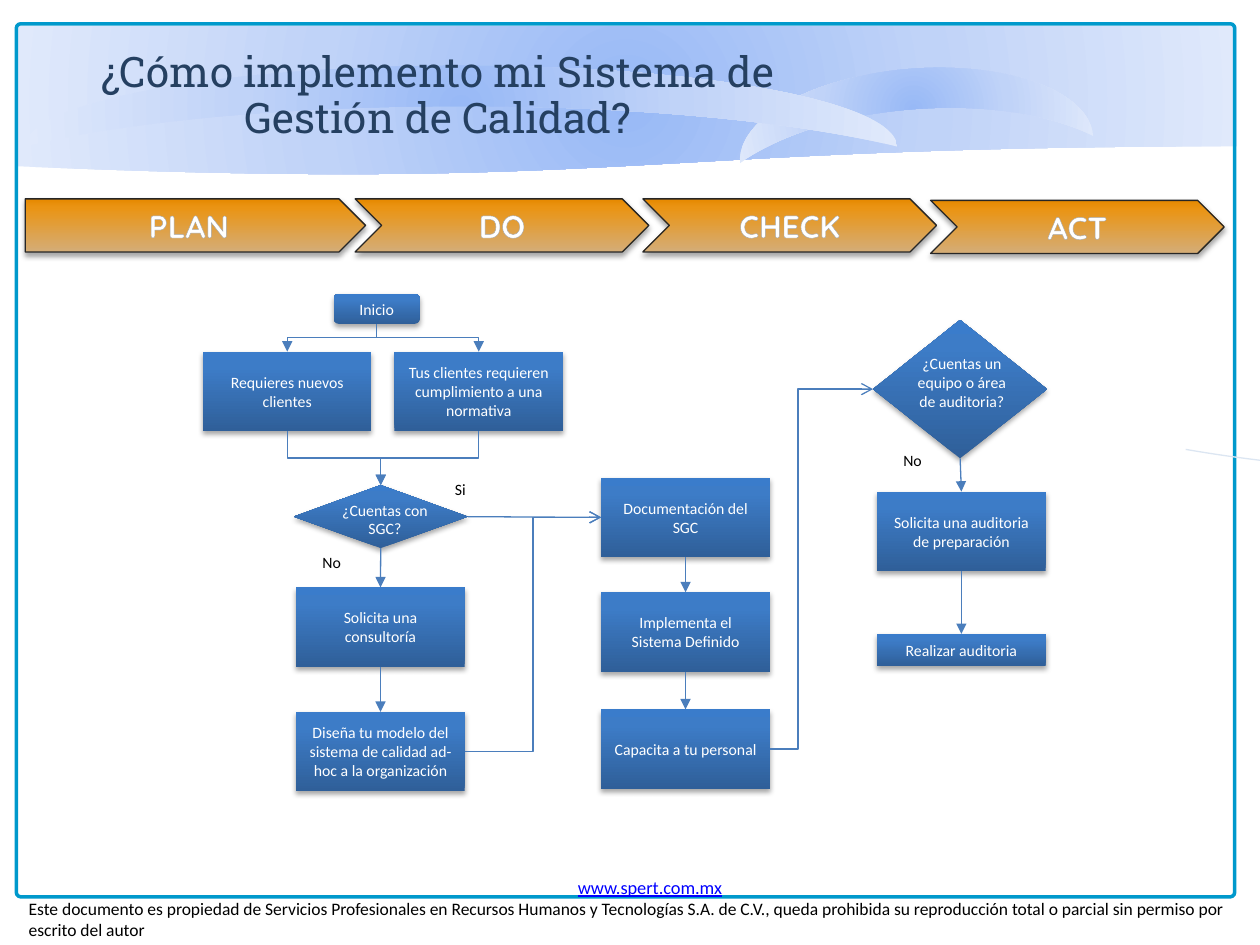
from dataclasses import dataclass
from typing import Optional

from pptx import Presentation
from pptx.dml.color import RGBColor
from pptx.enum.shapes import MSO_CONNECTOR as Cxn, MSO_SHAPE as Shp
from pptx.enum.text import MSO_ANCHOR as Anchor, MSO_AUTO_SIZE as AutoSize, PP_ALIGN as Align
from pptx.oxml import parse_xml
from pptx.oxml.ns import nsdecls, qn
from pptx.util import Cm, Pt

TOP, LEFT, BOTTOM, RIGHT = range(4)
LINEAR = '<a:lin ang="{}" scaled="0"/>'
CIRCLE = '<a:path path="circle"><a:fillToRect l="50000" t="50000" r="50000" b="50000"/></a:path>'


@dataclass(frozen=True)
class Gradient:
    stops: tuple
    shape: str


@dataclass(frozen=True)
class TextStyle:
    size: float
    color: str
    font: str = "Calibri"
    bold: Optional[bool] = None
    underline: Optional[bool] = None
    outline: str = ""


@dataclass(frozen=True)
class Theme:
    sky: Gradient = Gradient(((0, "98B9F6"), (50, "C0D3F8"), (100, "E0E9FB")), CIRCLE)
    node: Gradient = Gradient(((0, "2F5F99"), (80, "3D7CC7"), (100, "3A7CCB")),
                              LINEAR.format(270 * 60000))
    phase: Gradient = Gradient(((0, "E68900"), (17, "EA9414"), (100, "D4AD77")),
                               LINEAR.format(90 * 60000))
    frame: str = "0099CC"
    arc: str = "DCE6F2"
    phase_line: str = "262626"
    connector: str = "4B7EBC"
    title: TextStyle = TextStyle(24, "254061", "Roboto Slab")
    phase_text: TextStyle = TextStyle(18, "FFFFFF", "Quicksand", bold=True, outline="A6A6A6")
    node_text: TextStyle = TextStyle(9, "FFFFFF")
    label: TextStyle = TextStyle(9, "000000")
    link: TextStyle = TextStyle(10.5, "0000FF", underline=True)
    notice: TextStyle = TextStyle(10, "000000")


@dataclass(frozen=True)
class Box:
    """Position and size in centimetres."""
    x: float
    y: float
    w: float = 3.4
    h: float = 1.6

    def lengths(self) -> tuple:
        return Cm(self.x), Cm(self.y), Cm(self.w), Cm(self.h)


@dataclass(frozen=True)
class Node:
    key: str
    text: str
    box: Box
    kind: Shp = Shp.RECTANGLE


@dataclass(frozen=True)
class Label:
    text: str
    box: Box
    style: TextStyle
    wrap: bool = False


@dataclass(frozen=True)
class Link:
    start: str
    start_side: int
    end: str
    end_side: int
    head: str = "triangle"
    elbow: bool = False
    bend: float = 50


THEME = Theme()
SGC_COLUMN, WORK_COLUMN, AUDIT_COLUMN = 5.97, 12.12, 17.68

NODES = (
    Node("inicio", "Inicio", Box(6.73, 5.92, 1.73, 0.61), Shp.ROUNDED_RECTANGLE),
    Node("nuevos", "Requieres nuevos clientes", Box(4.09, 7.09)),
    Node("norma", "Tus clientes requieren cumplimiento a una normativa", Box(7.95, 7.09)),
    Node("consultoria", "Solicita una consultoría", Box(SGC_COLUMN, 11.84)),
    Node("modelo", "Diseña tu modelo del sistema de calidad ad-hoc a la organización",
         Box(SGC_COLUMN, 14.35)),
    Node("documentacion", "Documentación del SGC", Box(WORK_COLUMN, 9.63)),
    Node("implementa", "Implementa el Sistema Definido", Box(WORK_COLUMN, 11.94)),
    Node("capacita", "Capacita a tu personal", Box(WORK_COLUMN, 14.3)),
    Node("preparacion", "Solicita una auditoria de preparación", Box(AUDIT_COLUMN, 9.91)),
    Node("auditoria", "Realizar auditoria", Box(AUDIT_COLUMN, 12.78, h=0.64)),
    Node("sgc", "", Box(5.92, 9.78, 3.51, 1.27), Shp.DIAMOND),
    Node("equipo", "", Box(17.6, 6.45, 3.51, 2.79), Shp.DIAMOND),
)
LABELS = (
    Label("Si", Box(8.92, 9.55, 0.74, 0.64), THEME.label),
    Label("No", Box(6.25, 11.02, 0.89, 0.64), THEME.label),
    Label("No", Box(17.96, 8.97, 0.89, 0.64), THEME.label),
    Label("¿Cuentas con SGC?", Box(6.58, 9.96, 2.36, 1.02), THEME.node_text, True),
    Label("¿Cuentas un equipo o área de auditoria?", Box(18.21, 7.01, 2.36, 1.8),
          THEME.node_text, True),
)
LINKS = (
    Link("inicio", BOTTOM, "nuevos", TOP, elbow=True),
    Link("inicio", BOTTOM, "norma", TOP, elbow=True),
    Link("nuevos", BOTTOM, "sgc", TOP, elbow=True),
    Link("norma", BOTTOM, "sgc", TOP, elbow=True),
    Link("sgc", BOTTOM, "consultoria", TOP),
    Link("consultoria", BOTTOM, "modelo", TOP),
    Link("modelo", RIGHT, "documentacion", LEFT, "arrow", elbow=True),
    Link("sgc", RIGHT, "documentacion", LEFT, "arrow"),
    Link("documentacion", BOTTOM, "implementa", TOP),
    Link("implementa", BOTTOM, "capacita", TOP),
    Link("capacita", RIGHT, "equipo", LEFT, "arrow", elbow=True, bend=27.2),
    Link("equipo", BOTTOM, "preparacion", TOP),
    Link("preparacion", BOTTOM, "auditoria", TOP),
)


def add_run(p, text: str, style: TextStyle) -> None:
    r = p.add_run()
    r.text = text
    f = r.font
    f.name, f.size, f.bold, f.underline = style.font, Pt(style.size), style.bold, style.underline
    f.color.rgb = RGBColor.from_string(style.color)
    if style.outline:
        r._r.get_or_add_rPr().insert(0, parse_xml(
            f'<a:ln {nsdecls("a")} w="{Pt(0.75)}"><a:solidFill>'
            f'<a:srgbClr val="{style.outline}"/></a:solidFill></a:ln>'))


def add_shape(slide, kind: Shp, box: Box, fill: Optional[Gradient] = None, line: str = "",
              width: float = 0.75, rotation: float = 0, shadow: bool = False):
    sp = slide.shapes.add_shape(kind, *box.lengths())
    sp.rotation = rotation
    sp.shadow.inherit = False
    sp.fill.background()
    sp_pr = sp._element.spPr
    if fill:
        stops = "".join(f'<a:gs pos="{pos * 1000}"><a:srgbClr val="{color}"/></a:gs>'
                        for pos, color in fill.stops)
        sp_pr.replace(sp_pr.find(qn("a:noFill")), parse_xml(
            f'<a:gradFill {nsdecls("a")} rotWithShape="1"><a:gsLst>{stops}</a:gsLst>'
            f'{fill.shape}</a:gradFill>'))
    if line:
        sp.line.color.rgb = RGBColor.from_string(line)
        sp.line.width = Pt(width)
    else:
        sp.line.fill.background()
    if shadow:
        sp_pr.find(qn("a:effectLst")).append(parse_xml(
            f'<a:outerShdw {nsdecls("a")} blurRad="{Pt(3.1)}" dist="{Pt(1.8)}" dir="5400000" '
            'rotWithShape="0"><a:srgbClr val="000000"><a:alpha val="35000"/></a:srgbClr>'
            '</a:outerShdw>'))
    return sp


def write_centered(sp, text: str, style: TextStyle) -> None:
    tf = sp.text_frame
    tf.word_wrap = True
    tf.vertical_anchor = Anchor.MIDDLE
    tf.paragraphs[0].alignment = Align.CENTER
    add_run(tf.paragraphs[0], text, style)


def add_label(slide, label: Label) -> None:
    tf = slide.shapes.add_textbox(*label.box.lengths()).text_frame
    tf.word_wrap = label.wrap
    if label.wrap:
        tf.paragraphs[0].alignment = Align.CENTER
    add_run(tf.paragraphs[0], label.text, label.style)


def side_point(sp, side: int) -> tuple:
    fx, fy = ((0.5, 0), (0, 0.5), (0.5, 1), (1, 0.5))[side]
    return int(sp.left + sp.width * fx), int(sp.top + sp.height * fy)


def turn_elbow(c, dx: int, dy: int) -> None:
    """Make a downward elbow leave vertically: swap its box and rotate it."""
    mid_x, mid_y = c.left + c.width // 2, c.top + c.height // 2
    c.left, c.top = mid_x - dy // 2, mid_y - abs(dx) // 2
    c.width, c.height = dy, abs(dx)
    xfrm = c._element.spPr.find(qn("a:xfrm"))
    xfrm.set("rot", str((90 if dx < 0 else 270) * 60000))
    xfrm.set("flipH", "0" if dx < 0 else "1")


def add_link(slide, link: Link, shapes: dict) -> None:
    start, end = shapes[link.start], shapes[link.end]
    (x1, y1), (x2, y2) = side_point(start, link.start_side), side_point(end, link.end_side)
    c = slide.shapes.add_connector(Cxn.ELBOW if link.elbow else Cxn.STRAIGHT, x1, y1, x2, y2)
    sp_pr = c._element.spPr
    if not link.elbow:
        c.begin_connect(start, link.start_side)
        c.end_connect(end, link.end_side)
    elif link.start_side == BOTTOM:
        turn_elbow(c, x2 - x1, y2 - y1)
    if link.bend != 50:
        sp_pr.find(qn("a:prstGeom")).get_or_add_avLst().append(parse_xml(
            f'<a:gd {nsdecls("a")} name="adj1" fmla="val {round(link.bend * 1000)}"/>'))
    c.line.color.rgb = RGBColor.from_string(THEME.connector)
    c.line.width = Pt(0.75)
    sp_pr.find(qn("a:ln")).append(parse_xml(f'<a:tailEnd {nsdecls("a")} type="{link.head}"/>'))
    sp_pr.append(parse_xml(f'<a:effectLst {nsdecls("a")}/>'))


def add_backdrop(slide) -> None:
    add_shape(slide, Shp.FLOWCHART_DOCUMENT, Box(0.3, 0.53, 24.64, 3.02), THEME.sky)
    frame = add_shape(slide, Shp.ROUNDED_RECTANGLE, Box(0.33, 0.48, 24.56, 17.6),
                      line=THEME.frame, width=2)
    frame.adjustments[0] = 0.005
    add_shape(slide, Shp.MOON, Box(17.6, -1.37, 1.63, 7.14), THEME.sky, rotation=85.6)
    add_shape(slide, Shp.MOON, Box(8.48, -6.65, 1.63, 17.58), THEME.sky, rotation=90)
    arc = add_shape(slide, Shp.ARC, Box(22.07, -5.26, 7.65, 21.49), line=THEME.arc,
                    rotation=276.8)
    for i, degrees in enumerate((165.89, 202.33)):
        arc.adjustments[i] = degrees * 0.6


def add_footer(slide) -> None:
    tf = slide.shapes.add_textbox(*Box(0.33, 17.53, 25.55, 1.55).lengths()).text_frame
    tf.word_wrap = True
    tf.paragraphs[0].alignment = Align.CENTER
    add_run(tf.paragraphs[0], "www.spert.com.mx", THEME.link)
    add_run(tf.add_paragraph(), "Este documento es propiedad de Servicios Profesionales en "
            "Recursos Humanos y Tecnologías S.A. de C.V., queda prohibida su reproducción total "
            "o parcial sin permiso por escrito del autor", THEME.notice)


def format_title(slide) -> None:
    title = slide.shapes.title
    slide.shapes._spTree.append(title._element)
    title.left, title.top, title.width, title.height = Box(0.89, 0.91, 15.88, 2.31).lengths()
    write_centered(title, "¿Cómo implemento mi Sistema de Gestión de Calidad?", THEME.title)
    title.text_frame.vertical_anchor = Anchor.TOP
    title.text_frame.auto_size = AutoSize.NONE
    title.text_frame.paragraphs[0].line_spacing = 0.9


def add_phases(slide) -> None:
    boxes = [Box(0.51, 4.01, 6.86, 1.07)]
    boxes += [Box(7.16 + 5.8 * i, y, 5.92, 1.07) for i, y in enumerate((4.01, 4.01, 4.04))]
    for i, (name, box) in enumerate(zip(("PLAN", "DO", "CHECK", "ACT"), boxes)):
        sp = add_shape(slide, Shp.CHEVRON if i else Shp.PENTAGON, box, THEME.phase,
                       THEME.phase_line, shadow=True)
        write_centered(sp, name, THEME.phase_text)


def main() -> None:
    prs = Presentation()
    prs.slide_width, prs.slide_height = Cm(25.4), Cm(19.05)
    slide = prs.slides.add_slide(prs.slide_layouts[5])
    add_backdrop(slide)
    add_footer(slide)
    shapes = {}
    for node in NODES:
        sp = add_shape(slide, node.kind, node.box, THEME.node, shadow=True)
        if node.text:
            write_centered(sp, node.text, THEME.node_text)
        shapes[node.key] = sp
    for link in LINKS:
        add_link(slide, link, shapes)
    for label in LABELS:
        add_label(slide, label)
    format_title(slide)
    add_phases(slide)
    prs.save("out.pptx")


if __name__ == "__main__":
    main()
